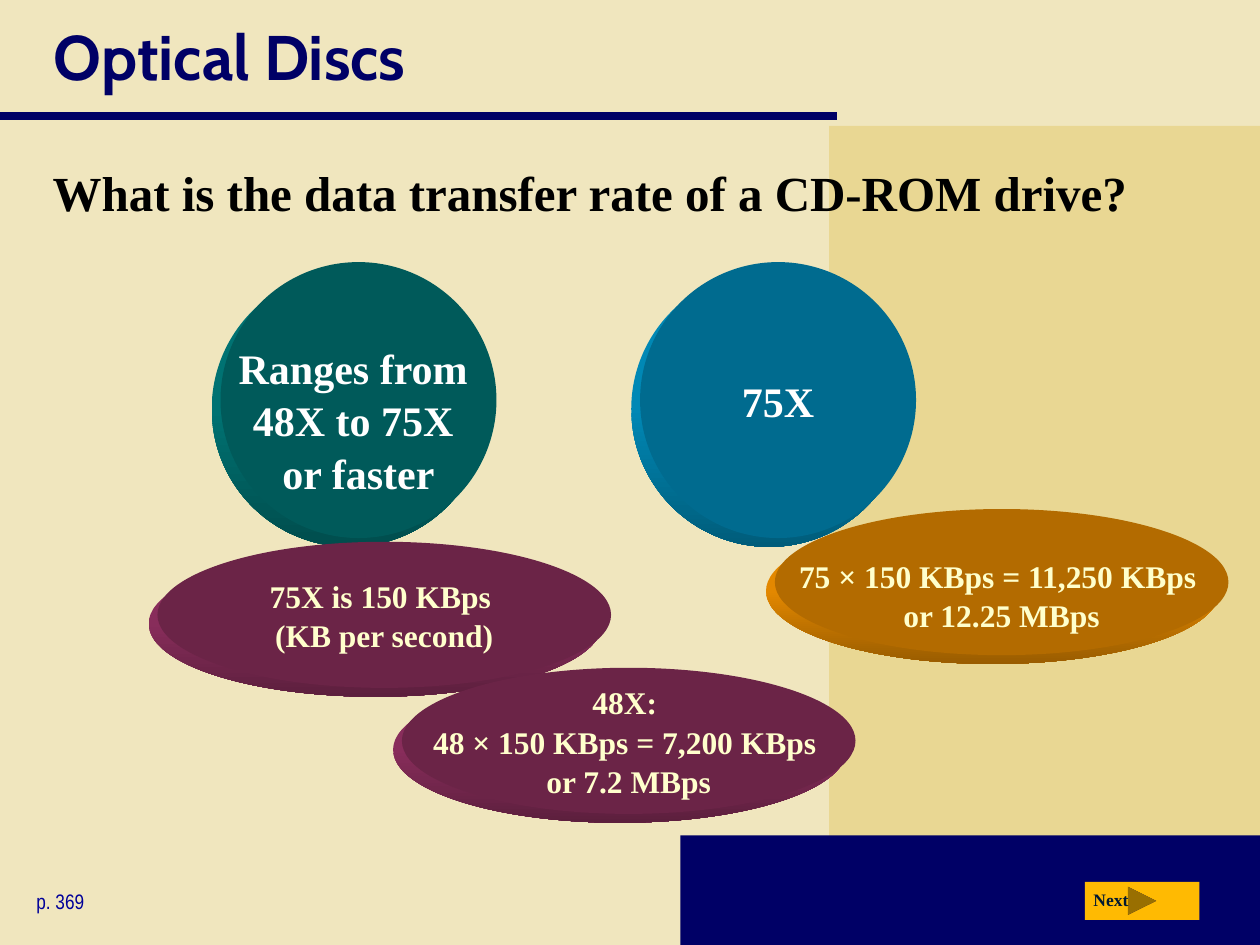
from dataclasses import dataclass

from lxml import etree
from pptx import Presentation
from pptx.dml.color import RGBColor
from pptx.enum.shapes import MSO_CONNECTOR, MSO_SHAPE
from pptx.enum.text import MSO_ANCHOR, PP_ALIGN
from pptx.oxml.ns import qn
from pptx.shapes.autoshape import Shape
from pptx.slide import Slide
from pptx.text.text import TextFrame
from pptx.util import Inches, Pt

RECTANGLE = MSO_SHAPE.RECTANGLE
OVAL = MSO_SHAPE.OVAL
NEXT_BUTTON = MSO_SHAPE.ACTION_BUTTON_FORWARD_OR_NEXT
STRAIGHT = MSO_CONNECTOR.STRAIGHT
TOP, MIDDLE = MSO_ANCHOR.TOP, MSO_ANCHOR.MIDDLE
LEFT, CENTER = PP_ALIGN.LEFT, PP_ALIGN.CENTER


@dataclass(frozen=True)
class Box:
    left: float
    top: float
    width: float
    height: float


@dataclass(frozen=True)
class TextStyle:
    font: str
    size: int
    color: str
    bold: bool = True


@dataclass(frozen=True)
class DiscColors:
    face: str
    light_side: str
    dark_side: str


@dataclass(frozen=True)
class Disc:
    box: Box
    colors: DiscColors
    style: TextStyle
    lines: tuple[str, ...]
    top_inset: float = 0.05
    bottom_inset: float = 0.05


@dataclass(frozen=True)
class Theme:
    background: str = "F0E6BE"
    panel: str = "E9D793"
    navy: str = "000066"
    button: str = "FFBA02"
    teal: DiscColors = DiscColors("005A5A", "007272", "004D4D")
    blue: DiscColors = DiscColors("006B8F", "0088B5", "005C7A")
    orange: DiscColors = DiscColors("B36B00", "E38800", "995C00")
    plum: DiscColors = DiscColors("6B2447", "882D5B", "5C1F3D")
    title: TextStyle = TextStyle("Cabin", 36, "000066")
    question: TextStyle = TextStyle("Times New Roman", 28, "000000")
    large: TextStyle = TextStyle("Times New Roman", 24, "FFFFFF")
    small: TextStyle = TextStyle("Times New Roman", 18, "FFFFCC")
    page: TextStyle = TextStyle("Arial Narrow", 12, "000099", False)
    next: TextStyle = TextStyle("Times New Roman", 10, "001932")


THEME = Theme()
DEPTH = 0.07
ROUND, WIDE_WIDTH, WIDE_HEIGHT = 2.19, 3.6, 1.16

DISCS = (
    Disc(Box(5.08, 2.08, ROUND, ROUND), THEME.blue, THEME.large, ("75X",)),
    Disc(Box(1.75, 2.08, ROUND, ROUND), THEME.teal, THEME.large,
         ("Ranges from ", "48X to 75X ", "or faster"), 0.3, 0),
    Disc(Box(6.15, 4.04, WIDE_WIDTH, WIDE_HEIGHT), THEME.orange, THEME.small,
         ("75 × 150 KBps = 11,250 KBps ", "or 12.25 MBps"), 0.2, 0),
    Disc(Box(1.25, 4.3, WIDE_WIDTH, WIDE_HEIGHT), THEME.plum, THEME.small,
         ("75X is 150 KBps ", "(KB per second)")),
    Disc(Box(3.19, 5.3, WIDE_WIDTH, WIDE_HEIGHT), THEME.plum, THEME.small,
         ("48X: ", "48 × 150 KBps = 7,200 KBps ", "or 7.2 MBps")),
)


def rgb(color: str) -> RGBColor:
    return RGBColor.from_string(color)


def place(box: Box) -> tuple[Inches, Inches, Inches, Inches]:
    return Inches(box.left), Inches(box.top), Inches(box.width), Inches(box.height)


def write_lines(frame: TextFrame, lines: tuple[str, ...], style: TextStyle,
                alignment: PP_ALIGN = LEFT) -> None:
    """Write one paragraph with a line break between its lines."""
    paragraph = frame.paragraphs[0]
    paragraph.alignment = alignment
    for index, line in enumerate(lines):
        if index:
            paragraph.add_line_break()
        run = paragraph.add_run()
        run.text = line
        run.font.name = style.font
        run.font.size = Pt(style.size)
        run.font.bold = style.bold
        run.font.color.rgb = rgb(style.color)


def add_filled_shape(slide: Slide, kind: MSO_SHAPE, box: Box, color: str) -> Shape:
    shape = slide.shapes.add_shape(kind, *place(box))
    shape.shadow.inherit = False
    shape.fill.solid()
    shape.fill.fore_color.rgb = rgb(color)
    shape.line.fill.background()
    return shape


def add_label(slide: Slide, box: Box, text: str, style: TextStyle,
              anchor: MSO_ANCHOR = TOP) -> None:
    frame = slide.shapes.add_textbox(*place(box)).text_frame
    frame.word_wrap = True
    frame.vertical_anchor = anchor
    write_lines(frame, (text,), style)


def add_rule(slide: Slide, top: float, width: float) -> None:
    rule = slide.shapes.add_connector(
        STRAIGHT, Inches(0), Inches(top), Inches(width), Inches(top))
    rule.line.color.rgb = rgb(THEME.navy)
    rule.line.width = Pt(5)
    etree.SubElement(rule.element.spPr, qn("a:effectLst"))


def add_disc(slide: Slide, disc: Disc) -> None:
    """Draw a thick disc: a shaded side below and left of a captioned face."""
    box = disc.box
    side_box = Box(box.left - DEPTH, box.top + DEPTH, box.width, box.height)
    side = add_filled_shape(slide, OVAL, side_box, disc.colors.dark_side)
    side.fill.gradient()
    side.fill.gradient_angle = 270
    stops = side.fill.gradient_stops
    for stop, color, position in zip(
            stops, (disc.colors.light_side, disc.colors.dark_side), (0.5, 1)):
        stop.color.rgb = rgb(color)
        stop.position = position

    frame = add_filled_shape(slide, OVAL, box, disc.colors.face).text_frame
    frame.word_wrap = False
    frame.vertical_anchor = MIDDLE
    frame.margin_top = Inches(disc.top_inset)
    frame.margin_bottom = Inches(disc.bottom_inset)
    frame.paragraphs[0].line_spacing = 1.04
    write_lines(frame, disc.lines, disc.style, CENTER)


def main() -> None:
    presentation = Presentation()
    presentation.slide_width = Inches(10)
    presentation.slide_height = Inches(7.5)
    slide = presentation.slides.add_slide(presentation.slide_layouts[6])
    slide.background.fill.solid()
    slide.background.fill.fore_color.rgb = rgb(THEME.background)

    add_filled_shape(slide, RECTANGLE, Box(6.58, 1, 3.42, 6.5), THEME.panel)
    add_filled_shape(slide, RECTANGLE, Box(5.4, 6.63, 4.6, 0.87), THEME.navy)
    add_rule(slide, 0.92, 6.64)

    add_label(slide, Box(0.33, 0, 9.39, 0.88), "Optical Discs", THEME.title, MIDDLE)
    add_label(slide, Box(0.32, 1.24, 9.39, 0.84),
              "What is the data transfer rate of a CD-ROM drive?", THEME.question)
    add_label(slide, Box(0.19, 7, 1.69, 0.3), "p. 369", THEME.page)
    add_filled_shape(slide, NEXT_BUTTON, Box(8.61, 7, 0.91, 0.3), THEME.button)
    add_label(slide, Box(8.58, 7.01, 0.51, 0.27), "Next", THEME.next)

    for disc in DISCS:
        add_disc(slide, disc)
    presentation.save("out.pptx")


if __name__ == "__main__":
    main()
